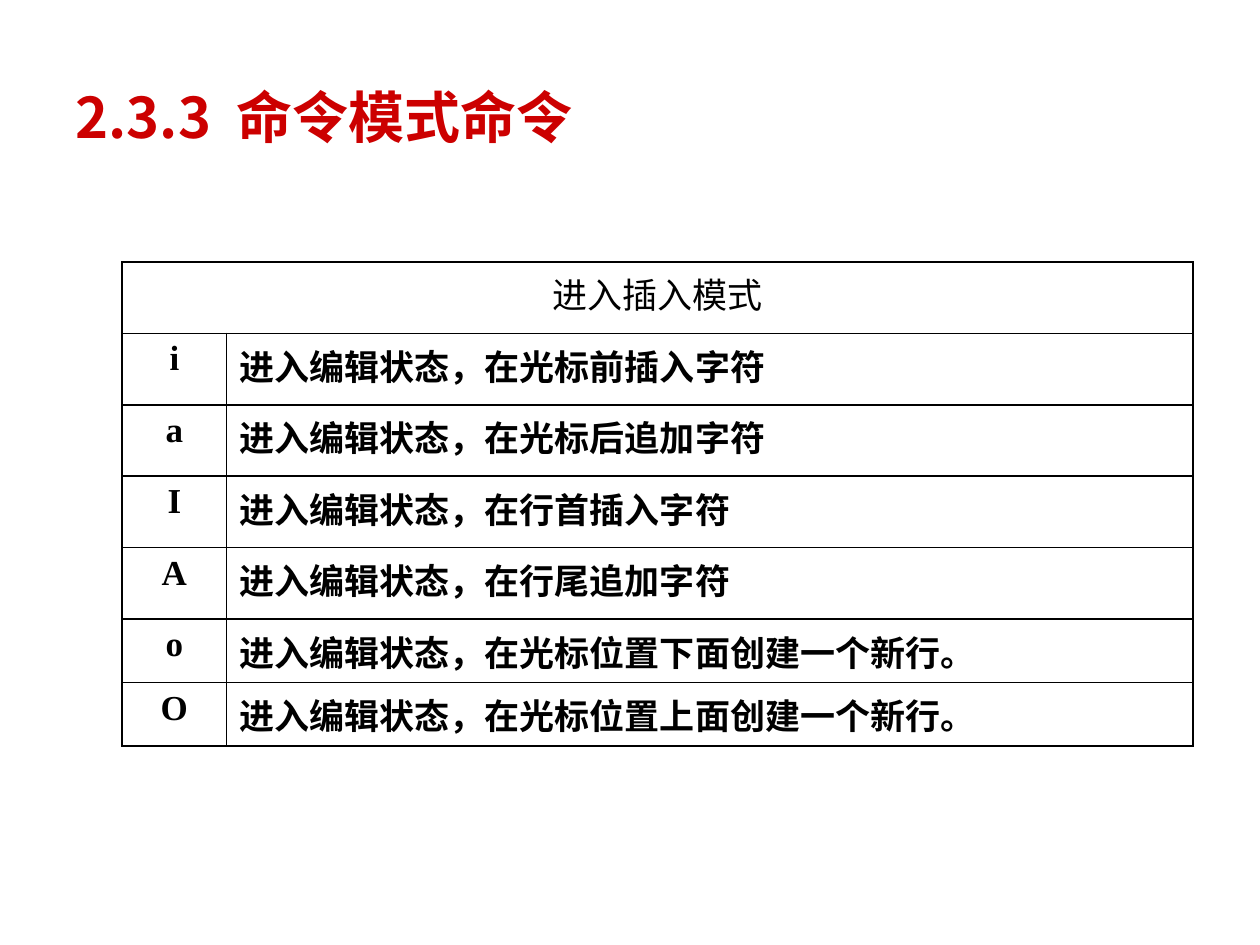
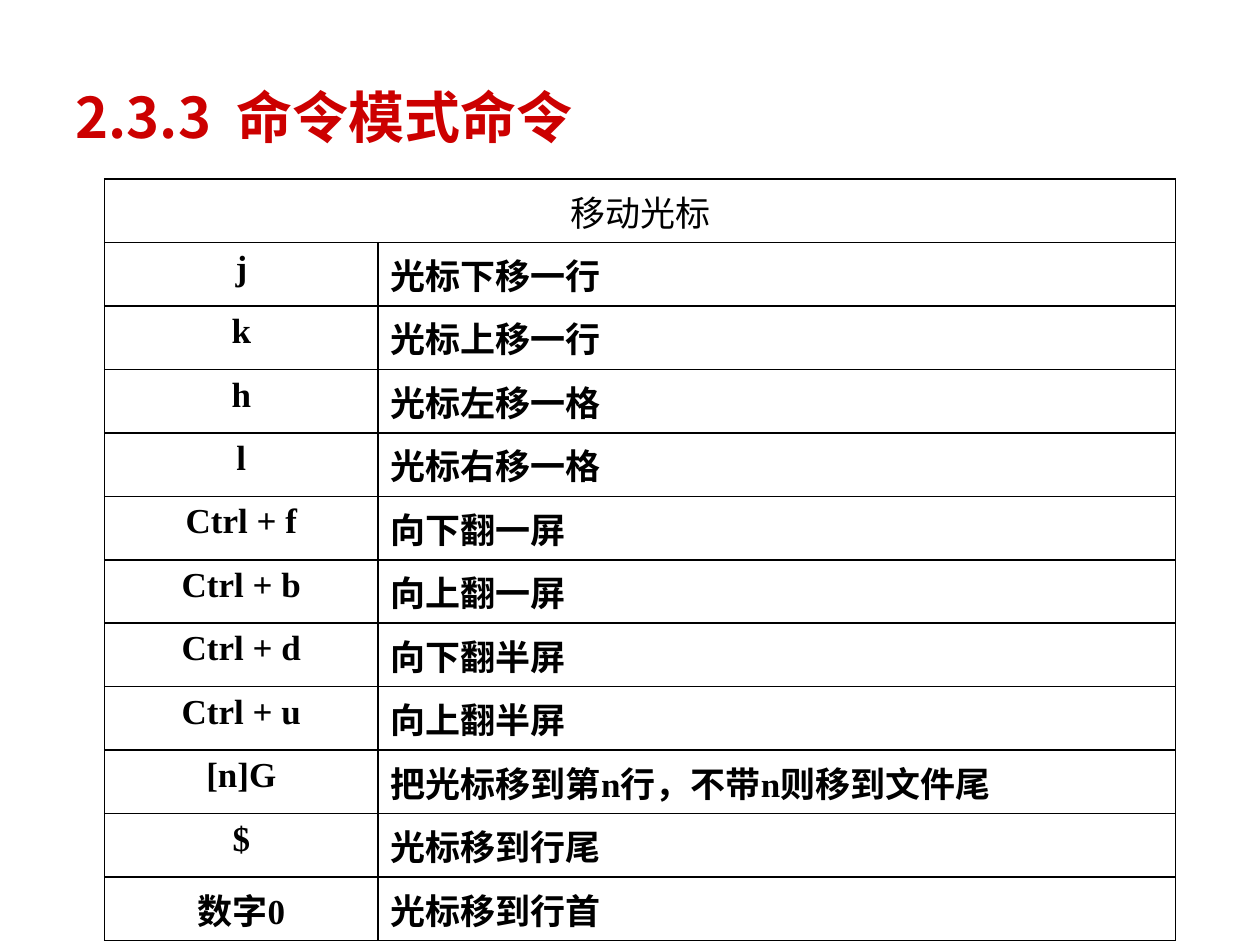
from dataclasses import dataclass

from lxml.etree import SubElement
from pptx import Presentation
from pptx.dml.color import RGBColor as Rgb
from pptx.enum.text import MSO_ANCHOR as Anchor, PP_ALIGN as Align
from pptx.oxml import parse_xml
from pptx.oxml.ns import nsdecls, qn
from pptx.util import Cm, Pt

# Content
TITLE = "2.3.3  命令模式命令"

INSERT = {
    "head": "进入插入模式",
    "at": (2.46, 5.28),
    "key_w": 2.11,
    "rows_h": [1.44] * 5 + [1.27] * 2,
    "keys": [
        ("i", "进入编辑状态，在光标前插入字符"),
        ("a", "进入编辑状态，在光标后追加字符"),
        ("I", "进入编辑状态，在行首插入字符"),
        ("A", "进入编辑状态，在行尾追加字符"),
        ("o", "进入编辑状态，在光标位置下面创建一个新行。"),
        ("O", "进入编辑状态，在光标位置上面创建一个新行。"),
    ],
}

MOVE = {
    "head": "移动光标",
    "at": (2.11, 3.61),
    "key_w": 5.51,
    "rows_h": [1] * 12,
    "keys": [
        ("j", "光标下移一行"),
        ("k", "光标上移一行"),
        ("h", "光标左移一格"),
        ("l", "光标右移一格"),
        ("Ctrl + f", "向下翻一屏"),
        ("Ctrl + b", "向上翻一屏"),
        ("Ctrl + d", "向下翻半屏"),
        ("Ctrl + u", "向上翻半屏"),
        ("[n]G", "把光标移到第n行，不带n则移到文件尾"),
        ("$", "光标移到行尾"),
        ("数字0", "光标移到行首"),
    ],
}


# Shared look
@dataclass(frozen=True)
class Theme:
    red: str = "CC0000"
    ink: str = "000000"
    sans: str = "Noto Sans CJK SC"
    serif: str = "Times New Roman"
    title_pt: int = 32
    cell_pt: int = 20
    table_w: float = 21.59


T = Theme()


def style(para, face, size, color, bold, align):
    para.alignment = align
    for run in para.runs:
        font = run.font
        font.name, font.size, font.bold = face, Pt(size), bold
        font.color.rgb = Rgb.from_string(color)
        east = SubElement(run._r.get_or_add_rPr(), qn("a:ea"))
        east.set("typeface", T.sans)


def frame(cell):
    """Draw a thin line on all four sides of the cell."""
    props = cell._tc.get_or_add_tcPr()
    for i, side in enumerate("LRTB"):
        props.insert(i, parse_xml(
            f'<a:ln{side} {nsdecls("a")} w="{Pt(1)}"><a:solidFill>'
            f'<a:srgbClr val="{T.ink}"/></a:solidFill></a:ln{side}>'))


def add_title(slide):
    title = slide.shapes.title
    title.left, title.top = Cm(1.27), Cm(0.76)
    title.width, title.height = Cm(22.86), Cm(3.18)
    text = title.text_frame
    text.text = TITLE
    text.vertical_anchor = Anchor.MIDDLE
    style(text.paragraphs[0], T.sans, T.title_pt, T.red, True, Align.LEFT)


def add_keys(slide, data):
    left, top = data["at"]
    rows = [(data["head"], "")] + data["keys"]
    table = slide.shapes.add_table(
        len(rows), 2, Cm(left), Cm(top),
        Cm(T.table_w), Cm(sum(data["rows_h"]))).table
    table.first_row = table.horz_banding = False
    table.columns[0].width = Cm(data["key_w"])
    table.columns[1].width = Cm(T.table_w - data["key_w"])
    for r, (row, high) in enumerate(zip(rows, data["rows_h"])):
        table.rows[r].height = Cm(high)
        for c, words in enumerate(row):
            cell = table.cell(r, c)
            cell.fill.background()
            frame(cell)
            cell.text_frame.text = words
            style(cell.text_frame.paragraphs[0], T.serif, T.cell_pt, T.ink,
                  r > 0, Align.LEFT if c else Align.CENTER)
    table.cell(0, 0).merge(table.cell(0, 1))


def main():
    deck = Presentation()
    deck.slide_width, deck.slide_height = Cm(25.4), Cm(19.05)
    for data in (INSERT, MOVE):
        slide = deck.slides.add_slide(deck.slide_layouts[5])
        add_title(slide)
        add_keys(slide, data)
    deck.save("out.pptx")


if __name__ == "__main__":
    main()
